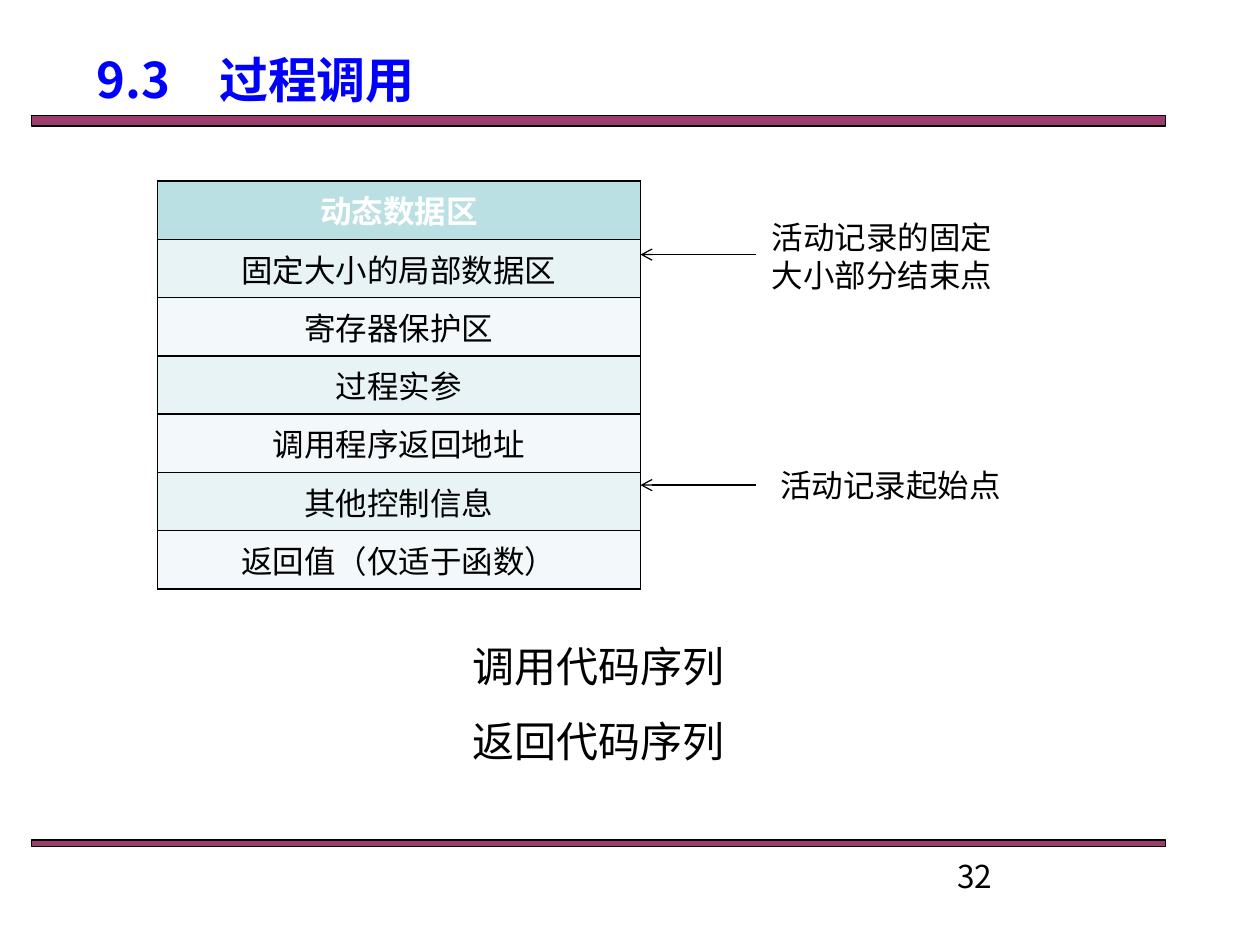
"""Build the procedure-call slide: activation record layout with two marked boundaries."""
from dataclasses import dataclass

from lxml import etree
from pptx import Presentation
from pptx import util as u
from pptx.dml.color import RGBColor
from pptx.enum import shapes, text
from pptx.oxml.ns import qn

COLORS = {
    "bar": "993366", "title": "0000FF", "ink": "000000", "white": "FFFFFF",
    "head": "BBE0E3", "odd": "E7F3F4", "even": "F3F9FA",
}
LATIN, CJK = "Arial", "Noto Sans CJK SC"
WIDTH, HEIGHT = u.Inches(10), u.Inches(7.5)
COLS, ROWS = 120, 90


@dataclass(frozen=True)
class Box:
    """An area in grid columns and rows."""
    col: float
    row: float
    cols: float
    rows: float

    def emu(self) -> tuple[int, int, int, int]:
        """Return left, top, width and height in EMU."""
        return x(self.col), y(self.row), x(self.cols), y(self.rows)


@dataclass(frozen=True)
class Label:
    """A text box with one string per paragraph."""
    box: Box
    lines: tuple[str, ...]
    size: int = 18
    font: str = LATIN
    align: text.PP_ALIGN = text.PP_ALIGN.CENTER
    spacing: float = 1.0


BARS = (Box(3, 11, 108, 1), Box(3, 80, 108, 0.6))
TITLE = Box(8, 4, 39, 7)
RECORD = Box(15, 17.25, 46, 34.1)
AREAS = (
    "动态数据区", "固定大小的局部数据区", "寄存器保护区", "过程实参",
    "调用程序返回地址", "其他控制信息", "返回值（仅适于函数）",
)
ARROW_ROWS = (46.2, 24.25)
ARROW_START, ARROW_END = 72, 61
LABELS = (
    Label(Box(90, 81, 28, 3.25), ("32",), font=CJK, align=text.PP_ALIGN.LEFT),
    Label(Box(72, 20.2, 24, 8.5), ("活动记录的固定大小部分结束点",)),
    Label(Box(72.8, 43.8, 24, 4.8), ("活动记录起始点",)),
    Label(Box(34, 58, 46, 14.9), ("调用代码序列", "返回代码序列"), size=24, spacing=1.5),
)


def x(cols: float) -> int:
    """Convert grid columns to EMU."""
    return round(WIDTH * cols / COLS)


def y(rows: float) -> int:
    """Convert grid rows to EMU."""
    return round(HEIGHT * rows / ROWS)


def rgb(name: str) -> RGBColor:
    """Look up a named colour."""
    return RGBColor.from_string(COLORS[name])


def style(p, size: int, font: str, color: str, align, bold: bool = False) -> None:
    """Format a whole paragraph."""
    p.alignment = align
    f = p.font
    f.size, f.bold, f.name = u.Pt(size), bold, font
    f.color.rgb = rgb(color)
    props = p._p.pPr.find(qn("a:defRPr"))
    etree.SubElement(props, qn("a:ea"), typeface=CJK)


def add_bar(s, box: Box) -> None:
    """Draw a slightly transparent rule across the slide."""
    sp = s.shapes.add_shape(shapes.MSO_SHAPE.RECTANGLE, *box.emu())
    sp.shadow.inherit = False
    sp.fill.solid()
    sp.fill.fore_color.rgb = rgb("bar")
    clr = sp._element.spPr.find(f"{qn('a:solidFill')}/{qn('a:srgbClr')}")
    etree.SubElement(clr, qn("a:alpha"), val="96000")
    sp.line.color.rgb = rgb("ink")
    sp.line.width = u.Pt(0.75)


def set_title(s) -> None:
    """Place and format the title."""
    sp = s.shapes.title
    sp.left, sp.top, sp.width, sp.height = TITLE.emu()
    tf = sp.text_frame
    tf.text = "9.3\u3000过程调用".replace("\u3000", chr(0x3000))
    tf.auto_size = text.MSO_AUTO_SIZE.NONE
    tf.vertical_anchor = text.MSO_ANCHOR.MIDDLE
    style(tf.paragraphs[0], 28, CJK, "title", text.PP_ALIGN.LEFT, bold=True)


def add_borders(cell) -> None:
    """Outline a table cell."""
    props = cell._tc.get_or_add_tcPr()
    for side in "LRTB":
        ln = etree.SubElement(props, qn(f"a:ln{side}"), w=str(u.Pt(1)))
        fill = etree.SubElement(ln, qn("a:solidFill"))
        etree.SubElement(fill, qn("a:srgbClr"), val=COLORS["ink"])


def add_record(s) -> None:
    """Draw the activation record as a one-column table."""
    table = s.shapes.add_table(len(AREAS), 1, *RECORD.emu()).table
    for i, area in enumerate(AREAS):
        cell = table.cell(i, 0)
        cell.text = area
        add_borders(cell)
        cell.fill.solid()
        cell.fill.fore_color.rgb = rgb("head" if i == 0 else "odd" if i % 2 else "even")
        style(cell.text_frame.paragraphs[0], 18, LATIN, "ink" if i else "white",
              text.PP_ALIGN.CENTER, bold=i == 0)


def add_arrow(s, row: float) -> None:
    """Draw an arrow pointing left at the record."""
    c = s.shapes.add_connector(shapes.MSO_CONNECTOR.STRAIGHT,
                               x(ARROW_START), y(row), x(ARROW_END), y(row))
    c.line.color.rgb = rgb("ink")
    c.line.width = u.Pt(0.75)
    etree.SubElement(c.line._get_or_add_ln(), qn("a:tailEnd"), type="arrow")
    etree.SubElement(c._element.spPr, qn("a:effectLst"))


def add_label(s, label: Label) -> None:
    """Draw a wrapped text box."""
    tf = s.shapes.add_textbox(*label.box.emu()).text_frame
    tf.word_wrap = True
    tf.text = "\n".join(label.lines)
    for p in tf.paragraphs:
        p.line_spacing = label.spacing
        style(p, label.size, label.font, "ink", label.align)


def main() -> None:
    """Build and save the slide."""
    prs = Presentation()
    prs.slide_width, prs.slide_height = WIDTH, HEIGHT
    s = prs.slides.add_slide(prs.slide_layouts[5])
    for box in BARS:
        add_bar(s, box)
    set_title(s)
    add_record(s)
    for row in ARROW_ROWS:
        add_arrow(s, row)
    for label in LABELS:
        add_label(s, label)
    prs.save("out.pptx")


if __name__ == "__main__":
    main()
